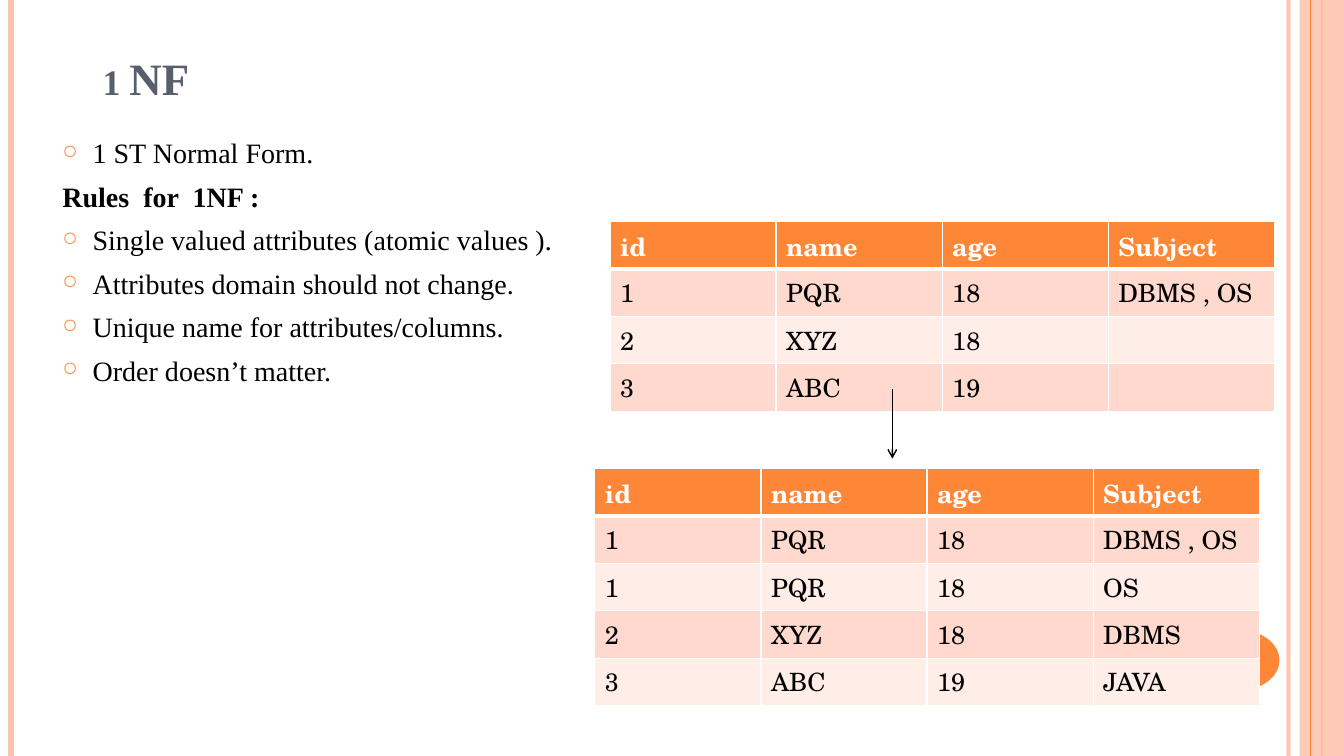
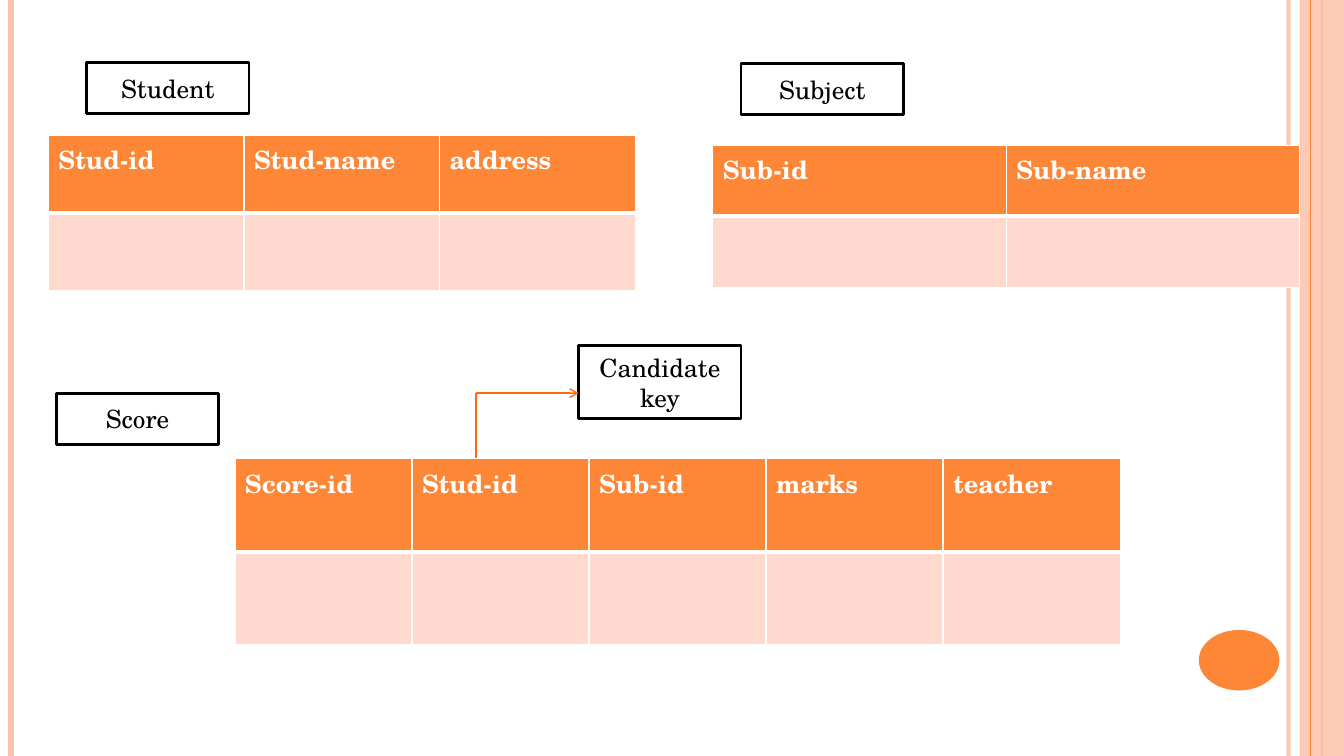
from lxml import etree
from pptx import Presentation
from pptx.dml.color import RGBColor
from pptx.enum.shapes import MSO_CONNECTOR, MSO_SHAPE
from pptx.enum.text import MSO_ANCHOR, PP_ALIGN
from pptx.oxml.ns import qn
from pptx.util import Inches, Pt

LINE = MSO_CONNECTOR.STRAIGHT
RECT, OVAL = MSO_SHAPE.RECTANGLE, MSO_SHAPE.OVAL
TOP, MIDDLE, BOTTOM = MSO_ANCHOR.TOP, MSO_ANCHOR.MIDDLE, MSO_ANCHOR.BOTTOM
LEFT, CENTER = PP_ALIGN.LEFT, PP_ALIGN.CENTER

WHITE = RGBColor(0xFF, 0xFF, 0xFF)
BLACK = RGBColor(0, 0, 0)
SLATE = RGBColor(0x57, 0x5F, 0x6D)
ORANGE = RGBColor(0xFE, 0x86, 0x37)
PEACH = RGBColor(0xFE, 0xC3, 0xAE)
VIVID = RGBColor(0xFF, 0x6B, 0x0A)
ROSE = RGBColor(0xFF, 0xD9, 0xCE)
BLUSH = RGBColor(0xFF, 0xED, 0xE8)
SERIF, SCHOOL = "Times New Roman", "TeX Gyre Schola"
WIDE, HIGH = 13.33, 7.5


def sub(node, tag, **attrs):
    child = etree.SubElement(node, qn(tag))
    for key, value in attrs.items():
        child.set(key, str(value))
    return child


def fade(node, percent):
    """Set the opacity of the colour found below a node."""
    color = next(node.iter(qn("a:srgbClr")))
    sub(color, "a:alpha", val=percent * 1000)


def write(para, text, font=SCHOOL, size=18, color=BLACK, bold=False,
          align=LEFT, caps=False, before=0, bullet=False):
    para.alignment = align
    para.space_before = Pt(before)
    if bullet:
        props = para._p.get_or_add_pPr()
        props.set("marL", str(Inches(0.3)))
        props.set("indent", str(Inches(-0.3)))
        sub(sub(props, "a:buClr"), "a:srgbClr", val=ORANGE)
        sub(props, "a:buSzPct", val=70000)
        sub(props, "a:buChar", char="○")
    run = para.add_run()
    run.text = text
    run.font.name, run.font.size = font, Pt(size)
    run.font.color.rgb, run.font.bold = color, bold
    if caps:
        run._r.get_or_add_rPr().set("cap", "small")


def add_box(slide, box, anchor=TOP):
    frame = slide.shapes.add_textbox(*map(Inches, box)).text_frame
    frame.word_wrap = True
    frame.vertical_anchor = anchor
    return frame


def add_form(slide, kind, box, fill, edge=None):
    form = slide.shapes.add_shape(kind, *map(Inches, box))
    form.shadow.inherit = False
    form.fill.solid()
    form.fill.fore_color.rgb = fill
    if edge is None:
        form.line.fill.background()
    else:
        form.line.color.rgb = edge
        form.line.width = Pt(2)
    return form


def add_line(slide, ends, color, width, arrow=False):
    line = slide.shapes.add_connector(LINE, *map(Inches, ends))
    line.line.color.rgb, line.line.width = color, Pt(width)
    sub(line._element.spPr, "a:effectLst")
    if arrow:
        sub(line.line._get_or_add_ln(), "a:tailEnd", type="arrow")
    return line


def add_rule(slide, x, color, width):
    return add_line(slide, (x, 0, x, HIGH), color, width)


def add_frame(slide):
    """Side rules, right band and disc shared by all slides."""
    fade(add_rule(slide, 12.78, PEACH, 3)._element.spPr, 93)
    add_rule(slide, 0.11, PEACH, 4.5)
    add_rule(slide, 13.11, ORANGE, 1.5)
    band = add_form(slide, RECT, (12.89, 0, 0.44, HIGH), PEACH)
    fade(band._element.spPr, 87)
    add_rule(slide, 13, ORANGE, 0.75)
    add_form(slide, OVAL, (11.89, 6.25, 0.8, 0.6), ORANGE)


def paint(cell, fill, base):
    """Fill a cell and edge it in white, with a bottom line of given width."""
    props = cell._tc.get_or_add_tcPr()
    for side, width in (("L", 1), ("R", 1), ("T", 1), ("B", base)):
        edge = sub(props, "a:ln" + side, w=Pt(width))
        sub(sub(edge, "a:solidFill"), "a:srgbClr", val=WHITE)
    cell.fill.solid()
    cell.fill.fore_color.rgb = fill


def add_grid(slide, box, rows):
    left, top, width, height = box
    count = len(rows[0])
    table = slide.shapes.add_table(len(rows), count, *map(Inches, box)).table
    for col in table.columns:
        col.width = Inches(width / count)
    for r, row in enumerate(rows):
        head = r == 0
        table.rows[r].height = Inches(height / len(rows))
        fill = ORANGE if head else (BLUSH, ROSE)[r % 2]
        for c, text in enumerate(row):
            cell = table.cell(r, c)
            paint(cell, fill, 3 if head else 1)
            if text:
                write(cell.text_frame.paragraphs[0], text, bold=head,
                      color=WHITE if head else BLACK)


def add_label(slide, box, text):
    frame = add_form(slide, RECT, box, WHITE, BLACK).text_frame
    frame.word_wrap = True
    frame.vertical_anchor = MIDDLE
    write(frame.paragraphs[0], text, align=CENTER)


def add_title(slide, text):
    frame = add_box(slide, (0.92, 0.4, 11.5, 0.69), BOTTOM)
    write(frame.paragraphs[0], text, font=SERIF, size=32, color=SLATE,
          bold=True, caps=True)


def add_rules(slide, box, lines):
    frame = add_box(slide, box)
    for i, (text, bullet) in enumerate(lines):
        para = frame.add_paragraph() if i else frame.paragraphs[0]
        write(para, text, font=SERIF, size=20, bold=not bullet,
              before=7 if i else 0, bullet=bullet)


def form_slide(slide):
    """First normal form: rules, then a table before and after."""
    add_frame(slide)
    add_title(slide, "1 NF")
    add_rules(slide, (0.52, 1.3, 12.21, 5.86), [
        ("1 ST Normal Form.", True),
        ("Rules  for  1NF :", False),
        ("Single valued attributes (atomic values ).", True),
        ("Attributes domain should not change.", True),
        ("Unique name for attributes/columns.", True),
        ("Order doesn’t matter.", True),
    ])
    head = ("id", "name", "age", "Subject")
    first = ("1", "PQR", "18", "DBMS , OS")
    step = 0.47
    add_grid(slide, (6.05, 2.2, 6.59, 4 * step), [
        head, first, ("2", "XYZ", "18", ""), ("3", "ABC", "19", "")])
    add_grid(slide, (5.9, 4.65, 6.59, 5 * step), [
        head, first, ("1", "PQR", "18", "OS"),
        ("2", "XYZ", "18", "DBMS"), ("3", "ABC", "19", "JAVA")])
    add_line(slide, (8.85, 3.86, 8.85, 4.55), BLACK, 1, arrow=True)


def key_slide(slide):
    """Three empty tables with name labels and the candidate key."""
    add_frame(slide)
    for box, head in (
        ((0.48, 1.34, 5.82, 1.54), ("Stud-id", "Stud-name", "address")),
        ((7.07, 1.44, 5.82, 1.41), ("Sub-id", "Sub-name")),
        ((2.33, 4.55, 8.78, 1.85),
         ("Score-id", "Stud-id", "Sub-id", "marks", "teacher")),
    ):
        add_grid(slide, box, [head, ("",) * len(head)])
    for x, y, high, text in (
        (0.86, 0.62, 0.51, "Student"),
        (7.35, 0.63, 0.51, "Subject"),
        (0.56, 3.9, 0.51, "Score"),
        (5.74, 3.43, 0.72, "Candidate key"),
    ):
        add_label(slide, (x, y, 1.61, high), text)
    # Elbow from the Stud-id column to the key label
    add_line(slide, (4.72, 4.54, 4.72, 3.9), VIVID, 1)
    add_line(slide, (4.72, 3.9, 5.74, 3.9), VIVID, 1, arrow=True)


def main():
    deck = Presentation()
    deck.slide_width, deck.slide_height = Inches(WIDE), Inches(HIGH)
    for build in (form_slide, key_slide):
        build(deck.slides.add_slide(deck.slide_layouts[6]))
    deck.save("out.pptx")


if __name__ == "__main__":
    main()
